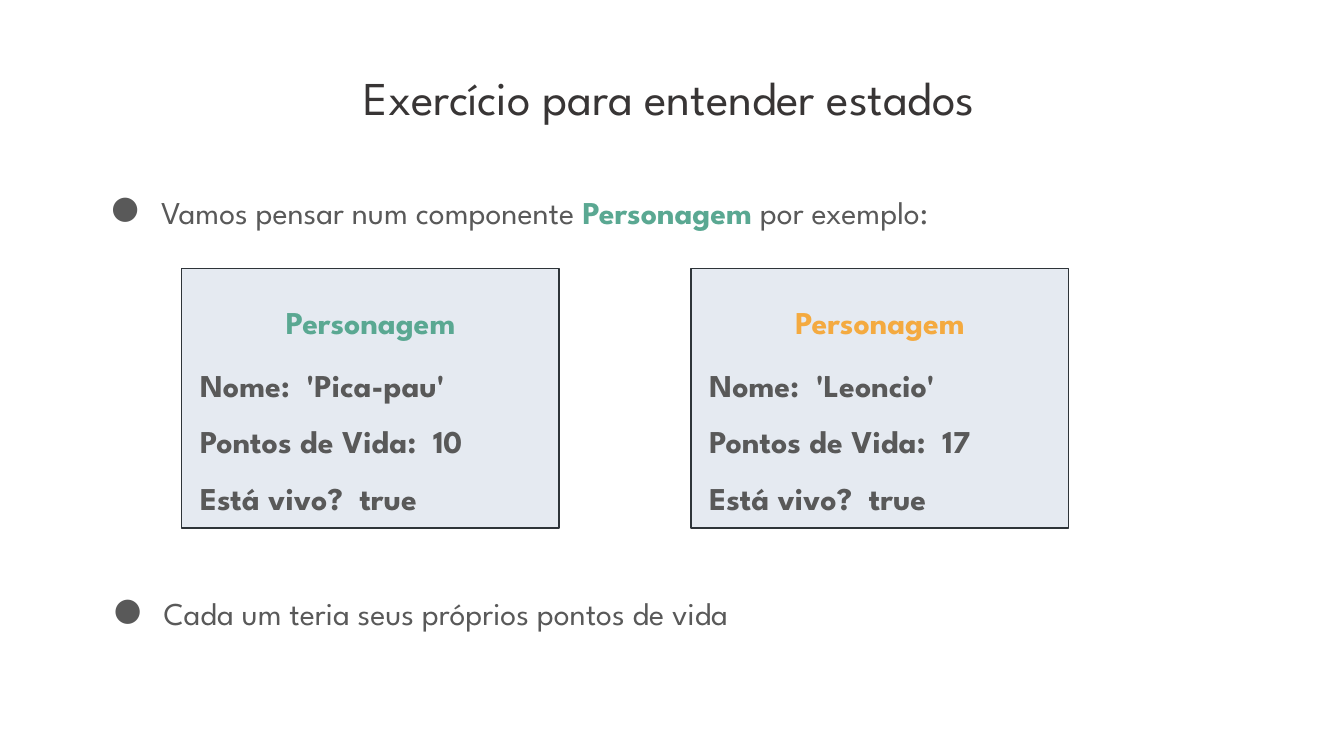
from lxml import etree
from pptx import Presentation
from pptx.dml.color import RGBColor
from pptx.enum import shapes, text
from pptx.oxml import ns
from pptx.util import Inches, Pt

FONT = "League Spartan"
DARK = RGBColor(0x38, 0x35, 0x35)
GRAY = RGBColor(0x59, 0x59, 0x59)
GREEN = RGBColor(0x5A, 0xA8, 0x92)
ORANGE = RGBColor(0xF4, 0xAA, 0x40)
CARD_FILL = RGBColor(0xE5, 0xEA, 0xF1)
CARD_LINE = RGBColor(0x2E, 0x34, 0x39)

HEADING = "Exercício para entender estados"
BULLETS = [
    (0.6, 1.19, [("Vamos pensar num componente ", GRAY, False),
                 ("Personagem", GREEN, True),
                 (" por exemplo:", GRAY, False)]),
    (0.62, 4.18, [("Cada um teria seus próprios pontos de vida", GRAY, False)]),
]
CHARACTERS = [
    (GREEN, ["Nome:  'Pica-pau'", "Pontos de Vida:  10", "Está vivo?  true"]),
    (ORANGE, ["Nome:  'Leoncio'", "Pontos de Vida:  17", "Está vivo?  true"]),
]

CARD_LEFT, CARD_TOP, CARD_WIDTH, CARD_HEIGHT = 1.35, 2, 2.81, 1.93
CARD_STEP = 3.79
STATE_TOP, STATE_STEP = 2.48, 0.42


def add_bullet(paragraph, size):
    props = paragraph._p.get_or_add_pPr()
    props.set("marL", str(Inches(0.5)))
    props.set("indent", str(Inches(-0.37)))
    color = etree.SubElement(props, ns.qn("a:buClr"))
    etree.SubElement(color, ns.qn("a:srgbClr"), val=str(GRAY))
    etree.SubElement(props, ns.qn("a:buSzPts"), val=str(size * 100))
    etree.SubElement(props, ns.qn("a:buFont"), typeface=FONT)
    etree.SubElement(props, ns.qn("a:buChar"), char="●")


def add_text(content, left, top, width, height, size=17, color=GRAY, bold=False,
             align=text.PP_ALIGN.LEFT, spacing=1.5, after=0, bullet=False):
    box = slide.shapes.add_textbox(Inches(left), Inches(top), Inches(width), Inches(height))
    frame = box.text_frame
    frame.word_wrap = True
    frame.margin_left = frame.margin_right = Inches(0.1)
    frame.margin_top = frame.margin_bottom = Inches(0.1)
    paragraph = frame.paragraphs[0]
    paragraph.alignment = align
    paragraph.line_spacing = spacing
    paragraph.space_after = Pt(after)
    if bullet:
        add_bullet(paragraph, size)
    paragraph.font.size = Pt(size)
    pieces = [(content, color, bold)] if isinstance(content, str) else content
    for words, tint, strong in pieces:
        run = paragraph.add_run()
        run.text = words
        run.font.name = FONT
        run.font.size = Pt(size)
        run.font.bold = strong
        run.font.color.rgb = tint


def add_card(left, accent, states):
    card = slide.shapes.add_shape(shapes.MSO_SHAPE.RECTANGLE, Inches(left), Inches(CARD_TOP),
                                  Inches(CARD_WIDTH), Inches(CARD_HEIGHT))
    card.shadow.inherit = False
    card.fill.solid()
    card.fill.fore_color.rgb = CARD_FILL
    card.line.color.rgb = CARD_LINE
    card.line.width = Pt(0.75)
    add_text("Personagem", left + 0.68, CARD_TOP + 0.01, 1.63, 0.49,
             color=accent, bold=True, after=12)
    for row, state in enumerate(states):
        add_text(state, left + 0.04, STATE_TOP + row * STATE_STEP, 3.08, 0.49,
                 bold=True, after=12)


deck = Presentation()
deck.slide_width = Inches(10)
deck.slide_height = deck.slide_width * 9 // 16
slide = deck.slides.add_slide(deck.slide_layouts[6])

add_text(HEADING, 0.6, 0.41, 8.76, 0.63, size=25.2, color=DARK,
         align=text.PP_ALIGN.CENTER, spacing=1.0)
for left, top, pieces in BULLETS:
    add_text(pieces, left, top, 8.76, 0.56, bullet=True)
for column, (accent, states) in enumerate(CHARACTERS):
    add_card(CARD_LEFT + column * CARD_STEP, accent, states)

deck.save("out.pptx")
